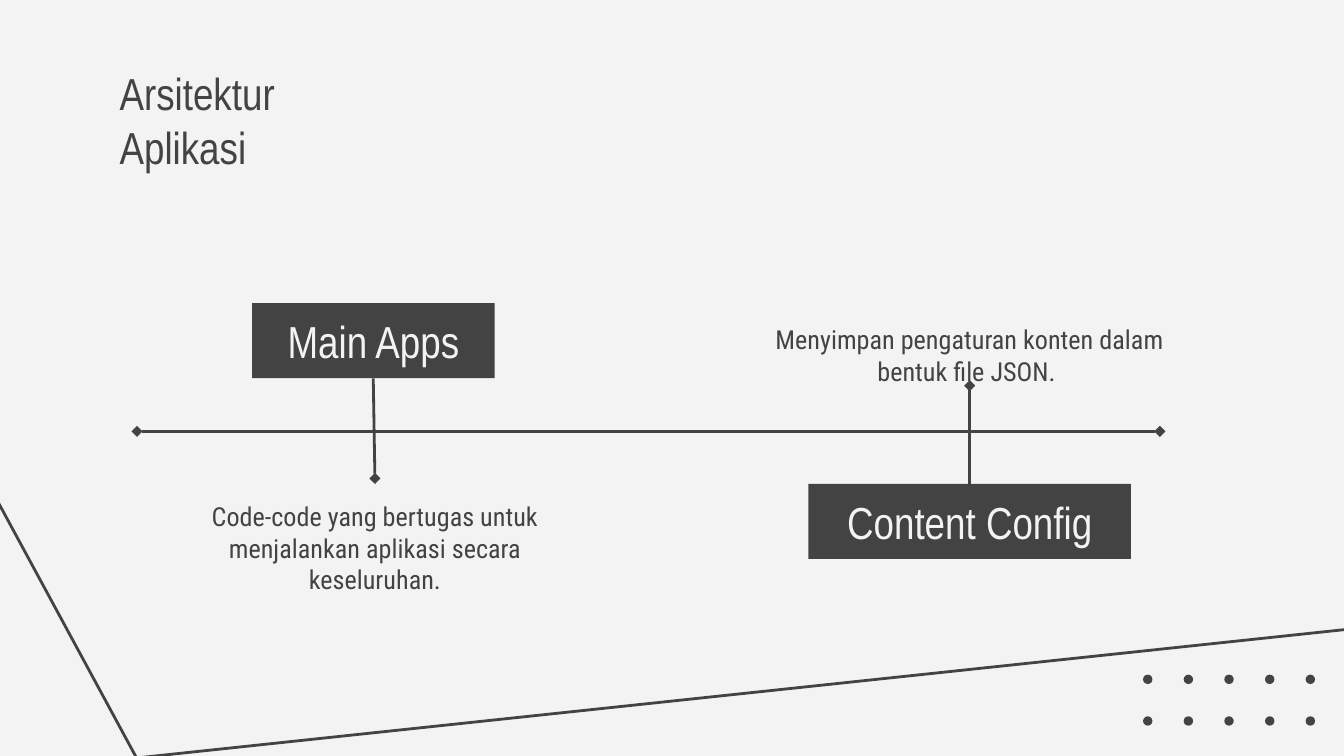
from lxml import etree
from pptx import Presentation
from pptx.dml.color import RGBColor
from pptx.enum.shapes import MSO_CONNECTOR, MSO_SHAPE
from pptx.enum.text import MSO_ANCHOR, MSO_AUTO_SIZE, PP_ALIGN
from pptx.oxml.ns import qn
from pptx.util import Inches, Pt

STRAIGHT = MSO_CONNECTOR.STRAIGHT
RECT, OVAL = MSO_SHAPE.RECTANGLE, MSO_SHAPE.OVAL
TOP, MIDDLE, BOTTOM = MSO_ANCHOR.TOP, MSO_ANCHOR.MIDDLE, MSO_ANCHOR.BOTTOM
LEFT, CENTER = PP_ALIGN.LEFT, PP_ALIGN.CENTER
SIDE_TOP, SIDE_BOTTOM = 0, 2

SLIDE_W = Inches(10)
SLIDE_H = SLIDE_W * 9 // 16
CELL = SLIDE_W / 100  # square grid, 100 columns across the slide
DARK, LIGHT = "434343", "F3F3F3"
HEADING, BODY = "Arial Narrow", "Roboto Condensed"
LINE_WIDTH = Pt(1.5)


def grid(*cells):
    return [round(cell * CELL) for cell in cells]


def color(hex_code):
    return RGBColor.from_string(hex_code)


def set_frame(frame, anchor, top=1, bottom=1):
    """Wrap the text and set insets, given in grid cells."""
    frame.word_wrap = True
    frame.auto_size = MSO_AUTO_SIZE.NONE
    frame.vertical_anchor = anchor
    frame.margin_left = frame.margin_right = round(CELL)
    frame.margin_top, frame.margin_bottom = grid(top, bottom)


def add_text(paragraph, text, font, size, hex_code, align):
    paragraph.alignment = align
    run = paragraph.add_run()
    run.text = text
    run.font.name, run.font.size = font, Pt(size)
    run.font.color.rgb = color(hex_code)


def fill_dark(shape):
    shape.shadow.inherit = False
    shape.fill.solid()
    shape.fill.fore_color.rgb = color(DARK)
    shape.line.fill.background()


def add_line(slide, start, end, diamond_at):
    """Straight line with a diamond at its "a:headEnd" or "a:tailEnd"."""
    line = slide.shapes.add_connector(STRAIGHT, *grid(*start, *end))
    line.line.color.rgb = color(DARK)
    line.line.width = LINE_WIDTH
    etree.SubElement(line.line._get_or_add_ln(), qn(diamond_at), type="diamond")
    etree.SubElement(line._element.spPr, qn("a:effectLst"))
    return line


def add_dots(slide, left, top, width, height, columns=5, rows=2, size=0.7):
    step_x = (width - size) / (columns - 1)
    step_y = (height - size) / (rows - 1)
    for row in range(rows):
        for column in range(columns):
            place = (left + column * step_x, top + row * step_y, size, size)
            fill_dark(slide.shapes.add_shape(OVAL, *grid(*place)))


def add_corner_fold(slide, left, top, width, height):
    """Open outline that falls to a low point and rises to the right."""
    builder = slide.shapes.build_freeform(*grid(left, top))
    points = [(left + width / 9, top + height), (left + width, top + 0.54 * height)]
    builder.add_line_segments([grid(*point) for point in points], close=False)
    fold = builder.convert_to_shape()
    fold.shadow.inherit = False
    fold.fill.background()
    fold.line.color.rgb = color(DARK)
    fold.line.width = LINE_WIDTH


def add_title(slide, box, lines):
    title = slide.shapes.title
    title.left, title.top, title.width, title.height = grid(*box)
    set_frame(title.text_frame, TOP)
    paragraph = title.text_frame.paragraphs[0]
    for index, text in enumerate(lines):
        if index:
            paragraph.add_line_break()
        add_text(paragraph, text, HEADING, 24, DARK, LEFT)


def add_card(slide, box, name):
    card = slide.shapes.add_shape(RECT, *grid(*box))
    fill_dark(card)
    set_frame(card.text_frame, MIDDLE)
    add_text(card.text_frame.paragraphs[0], name, HEADING, 24, LIGHT, CENTER)
    return card


def add_description(slide, box, text, above):
    description = slide.shapes.add_textbox(*grid(*box))
    if above:
        set_frame(description.text_frame, BOTTOM, bottom=0)
    else:
        set_frame(description.text_frame, TOP, top=2.5)
    paragraph = description.text_frame.paragraphs[0]
    paragraph.space_after = Pt(16)
    add_text(paragraph, text, BODY, 14, DARK, CENTER)


def add_component(slide, name, card_box, text, text_box, stem_end):
    """Card on one side of the axis, its description on the other."""
    card = add_card(slide, card_box, name)
    text_above = text_box[1] < card_box[1]
    add_description(slide, text_box, text, text_above)
    stem = add_line(slide, card_box[:2], stem_end, "a:tailEnd")
    stem.begin_connect(card, SIDE_TOP if text_above else SIDE_BOTTOM)


def add_axis(slide, left, right, y, overlap=1.6):
    """Two overlapping lines, each starting from a diamond at its own end."""
    for start, end in ((left, right - overlap), (right, left + overlap)):
        add_line(slide, (start, y), (end, y), "a:headEnd")


def main():
    deck = Presentation()
    deck.slide_width, deck.slide_height = SLIDE_W, SLIDE_H
    slide = deck.slides.add_slide(deck.slide_layouts[5])
    slide.background.fill.solid()
    slide.background.fill.fore_color.rgb = color(LIGHT)

    # Decoration
    add_dots(slide, 85.05, 50.2, 12.8, 3.8)
    add_corner_fold(slide, -1.2, 35.4, 102.3, 21)

    # Title
    add_title(slide, (7.9, 3.9, 35.2, 9.1), ["Arsitektur", "Aplikasi"])

    # Components along the axis
    add_component(slide, "Main Apps", (18.75, 22.55, 18.05, 5.6),
                  "Code-code yang bertugas untuk menjalankan aplikasi secara keseluruhan.",
                  (13.2, 34.75, 29.4, 9.5), (27.9, 35.6))
    add_component(slide, "Content Config", (60.15, 36, 24, 5.6),
                  "Menyimpan pengaturan konten dalam bentuk file JSON. ",
                  (56, 19.45, 32.3, 9.3), (72.15, 28.7))
    add_axis(slide, 10.2, 86.3, 32.1)

    deck.save("out.pptx")


if __name__ == "__main__":
    main()
